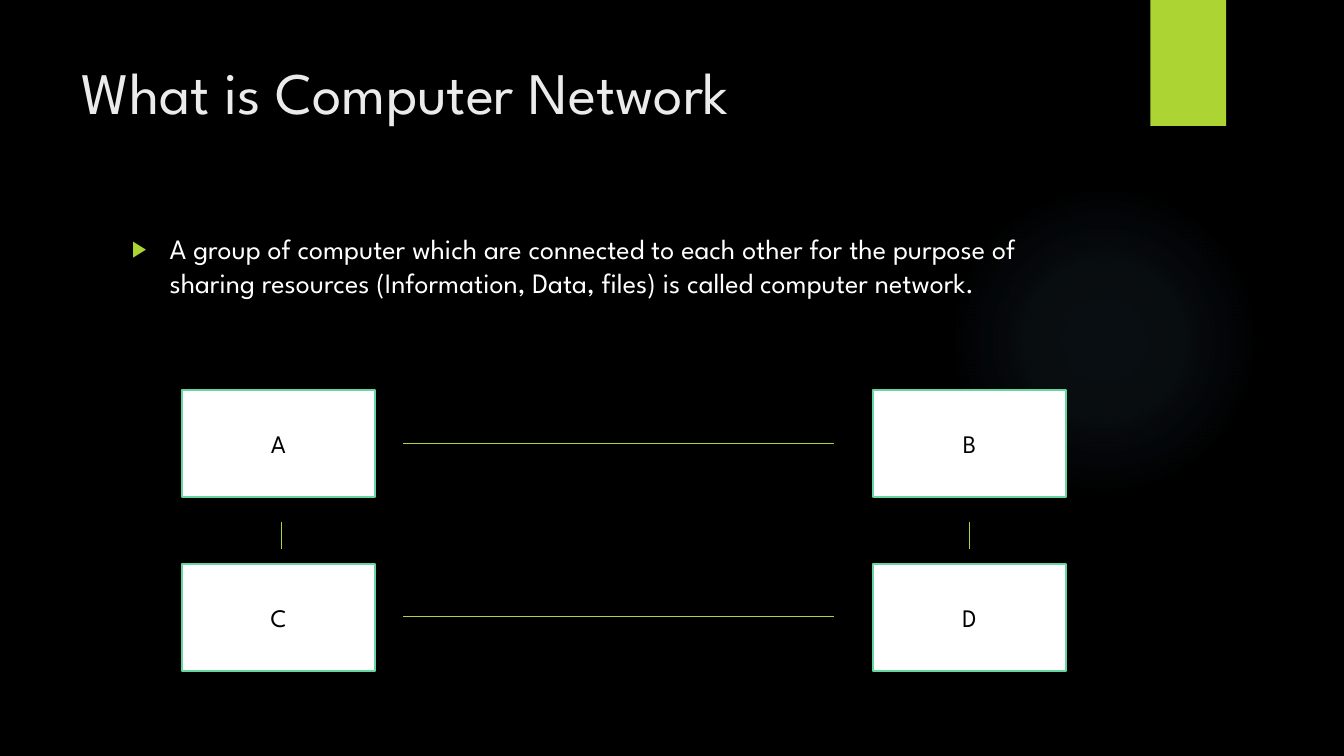
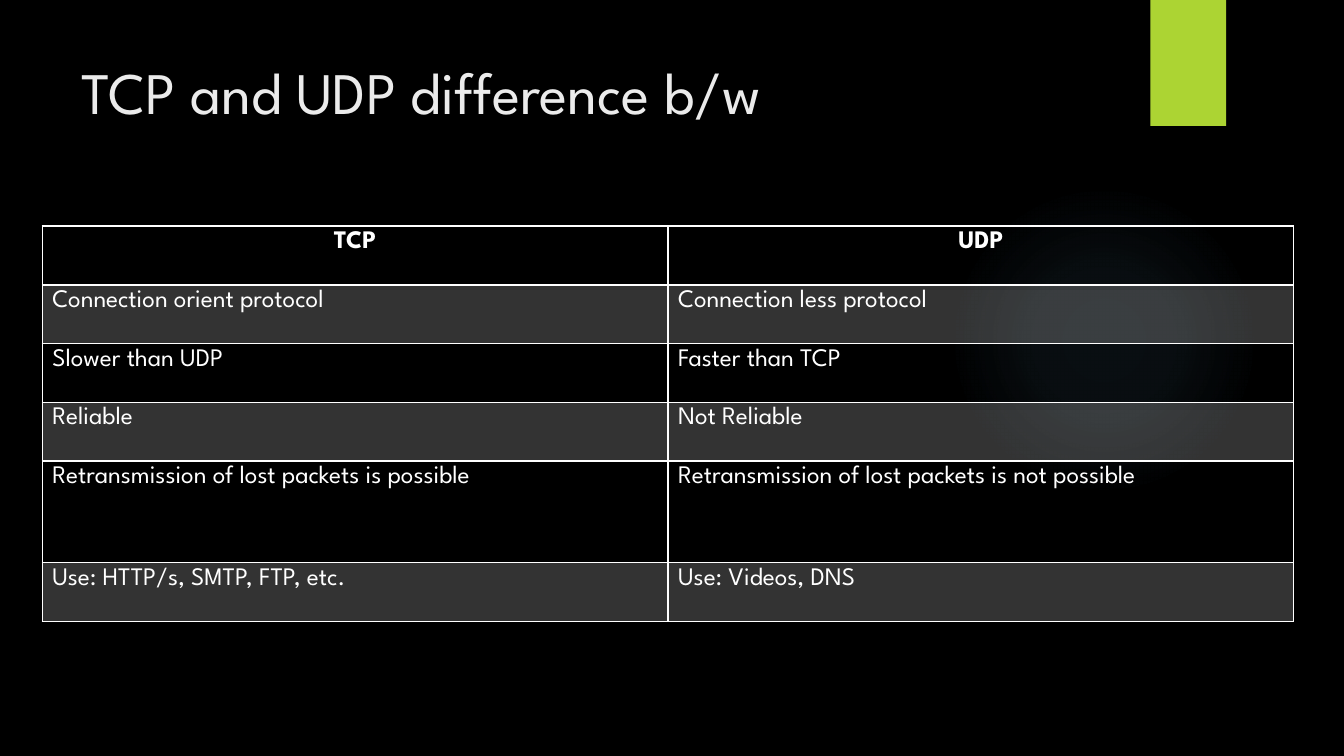
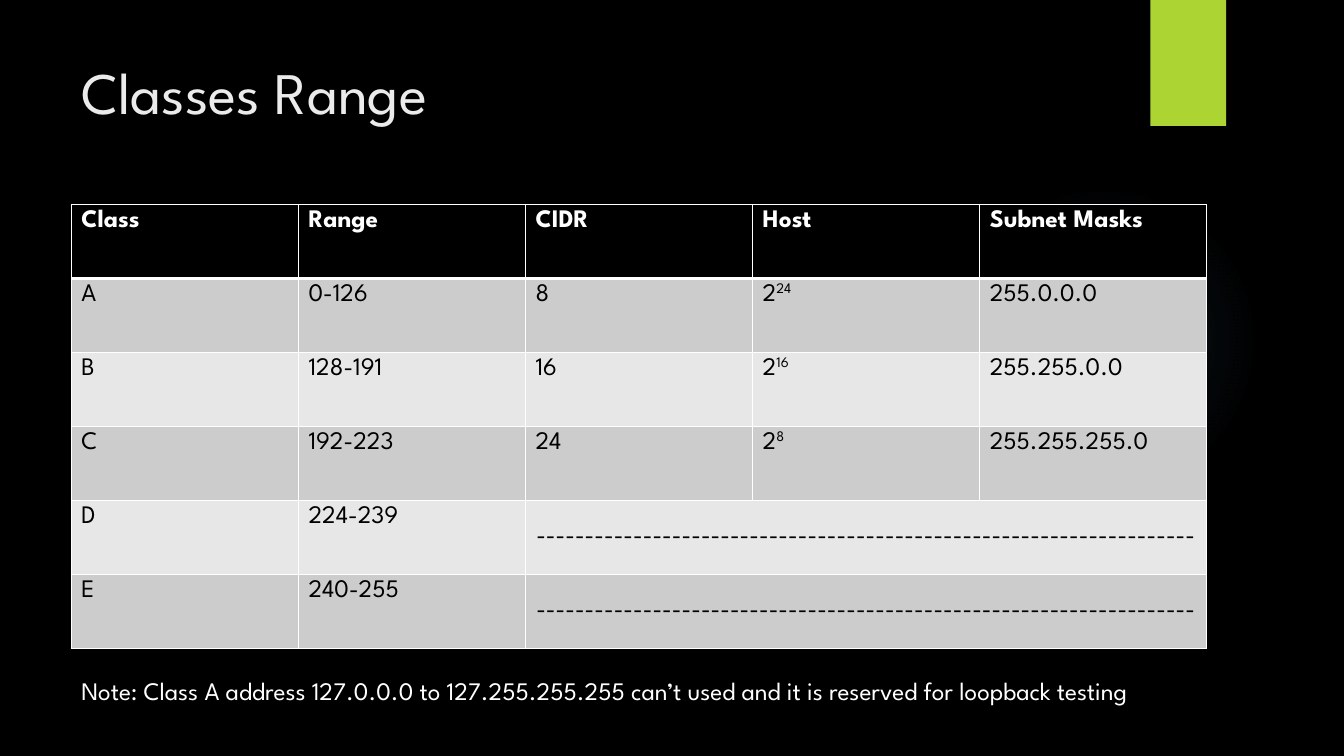
"""Build three slides on computer networks, TCP and UDP, and address classes."""
from pptx import Presentation
from pptx.dml.color import RGBColor
from pptx.enum.shapes import MSO_CONNECTOR, MSO_SHAPE
from pptx.enum.text import MSO_ANCHOR, MSO_AUTO_SIZE, PP_ALIGN
from pptx.oxml import parse_xml
from pptx.oxml.ns import nsdecls
from pptx.util import Pt

BLACK = RGBColor(0x00, 0x00, 0x00)
WHITE = RGBColor(0xFF, 0xFF, 0xFF)
PALE = RGBColor(0xEB, 0xEB, 0xEB)
LIME = RGBColor(0xAC, 0xD4, 0x33)
MINT = RGBColor(0x65, 0xD6, 0xA0)
GLOW = RGBColor(0x7A, 0xC4, 0xF0)
DARK = RGBColor(0xCC, 0xCC, 0xCC)
LIGHT = RGBColor(0xE7, 0xE7, 0xE7)
FONT = "League Spartan"
NS = nsdecls("a")


def write(frame, text, size, color, bold=False, align=PP_ALIGN.LEFT):
    """Write one paragraph; a caret marks the start of a superscript."""
    para = frame.paragraphs[0]
    para.alignment = align
    for num, part in enumerate(text.split("^")):
        run = para.add_run()
        run.text = part
        run.font.name = FONT
        run.font.size = Pt(size)
        run.font.bold = bold
        run.font.color.rgb = color
        if num:
            run.font._element.set("baseline", "30000")
    return para


def grid(slide, rows, left, top, width, heights, heavy, ink, fills, align):
    """Add a table with white borders and a heavy rule below its head."""
    cols = len(rows[0])
    frame = slide.shapes.add_table(
        len(rows), cols, Pt(left), Pt(top), Pt(width * cols), Pt(sum(heights)))
    table = frame.table
    for col in table.columns:
        col.width = Pt(width)
    for num, (texts, height) in enumerate(zip(rows, heights)):
        table.rows[num].height = Pt(height)
        head = num == 0
        color, alpha = fills[0] if head else fills[1 + (num - 1) % 2]
        edges = {"L": 1, "R": 1, "T": heavy if num == 1 else 1, "B": heavy if head else 1}
        for pos in range(cols):
            cell = table.cell(num, pos)
            if color is None:
                cell.fill.background()
            else:
                cell.fill.solid()
                cell.fill.fore_color.rgb = color
            props = cell._tc.get_or_add_tcPr()
            if alpha < 100:
                props[0][0].append(parse_xml(f'<a:alpha {NS} val="{alpha * 1000}"/>'))
            for place, (side, weight) in enumerate(edges.items()):
                props.insert(place, parse_xml(
                    f'<a:ln{side} {NS} w="{Pt(weight)}"><a:solidFill>'
                    f'<a:srgbClr val="{WHITE}"/></a:solidFill></a:ln{side}>'))
            if pos < len(texts):
                write(cell.text_frame, texts[pos], 18, WHITE if head else ink,
                      head, align if head else PP_ALIGN.LEFT)
    return table


deck = Presentation()
deck.slide_width, deck.slide_height = Pt(960), Pt(540)
master = deck.slide_master
master.background.fill.solid()
master.background.fill.fore_color.rgb = BLACK

pages = []
for layout, title in ((1, "What is Computer Network"),
                      (5, "TCP and UDP difference b/w"),
                      (5, "Classes Range")):
    page = deck.slides.add_slide(deck.slide_layouts[layout])
    head = page.shapes.title
    head.left, head.top, head.width, head.height = Pt(51), Pt(36), Pt(741), Pt(110)
    head.text_frame.auto_size = MSO_AUTO_SIZE.NONE
    head.text_frame.vertical_anchor = MSO_ANCHOR.TOP
    write(head.text_frame, title, 42, PALE)
    pages.append(page)
net, proto, ranges = pages

band = net.shapes.add_shape(MSO_SHAPE.RECTANGLE, Pt(821.8), Pt(0), Pt(54), Pt(90))
band.fill.solid()
band.fill.fore_color.rgb = LIME
halo = net.shapes.add_shape(MSO_SHAPE.OVAL, Pt(677.5), Pt(131.8), Pt(221.8), Pt(221.8))
stops = "".join(
    f'<a:gs pos="{spot * 1000}"><a:srgbClr val="{GLOW}">'
    f'<a:alpha val="{alpha * 1000}"/></a:srgbClr></a:gs>'
    for spot, alpha in ((0, 7), (36, 6), (69, 0)))
halo.element.spPr.insert(2, parse_xml(
    f'<a:gradFill {NS}><a:gsLst>{stops}</a:gsLst><a:path path="circle">'
    '<a:fillToRect l="50000" t="50000" r="50000" b="50000"/></a:path></a:gradFill>'))
for key, shape in enumerate((band, halo), 20):
    shape.line.fill.background()
    shape.shadow.inherit = False
    shape.element.nvSpPr.cNvPr.set("id", str(key))
    master.shapes.element.insert(2, shape.element)

body = net.placeholders[1]
body.left, body.top, body.width, body.height = Pt(87), Pt(162), Pt(704), Pt(330.5)
body.text_frame.auto_size = MSO_AUTO_SIZE.NONE
para = write(
    body.text_frame,
    "A group of computer which are connected to each other for the purpose of "
    "sharing resources (Information, Data, files) is called computer network.",
    20, WHITE)
para.space_before = Pt(10)
props = para._p.get_or_add_pPr()
props.set("marL", str(Pt(27)))
props.set("indent", str(-Pt(27)))
for mark in (f'<a:buClr {NS}><a:srgbClr val="{LIME}"/></a:buClr>',
             f'<a:buSzPct {NS} val="80000"/>',
             f'<a:buFont {NS} typeface="Arial"/>',
             f'<a:buChar {NS} char="▶"/>'):
    props.append(parse_xml(mark))

for num, name in enumerate("ABCD"):
    row, col = divmod(num, 2)
    node = net.shapes.add_shape(
        MSO_SHAPE.RECTANGLE, Pt(129.8 + 493.6 * col), Pt(278.6 + 124.4 * row),
        Pt(138.2), Pt(76.4))
    node.shadow.inherit = False
    node.fill.solid()
    node.fill.fore_color.rgb = WHITE
    node.line.color.rgb = MINT
    node.line.width = Pt(1.5)
    node.text_frame.vertical_anchor = MSO_ANCHOR.MIDDLE
    write(node.text_frame, name, 18, BLACK, align=PP_ALIGN.CENTER)

for ends in ((288, 316.8, 595.4, 316.8), (288, 440.6, 595.4, 440.6),
             (201, 373, 201, 392.4), (692.6, 373, 692.6, 392.4)):
    link = net.shapes.add_connector(MSO_CONNECTOR.STRAIGHT, *map(Pt, ends))
    link.line.color.rgb = LIME
    link.line.width = Pt(0.75)
    link.element.spPr.append(parse_xml(f"<a:effectLst {NS}/>"))

grid(proto, (
    ("TCP", "UDP"),
    ("Connection orient protocol", "Connection less protocol"),
    ("Slower than UDP", "Faster than TCP"),
    ("Reliable", "Not Reliable"),
    ("Retransmission of lost packets is possible",
     "Retransmission of lost packets is not possible"),
    ("Use: HTTP/s, SMTP, FTP, etc.", "Use: Videos, DNS"),
), 30.2, 161.4, 447, (42, 42, 42, 42, 72.6, 42), 2, WHITE,
    ((None, 100), (WHITE, 20), (None, 100)), PP_ALIGN.CENTER)

dash = "-" * 68
table = grid(ranges, (
    ("Class", "Range", "CIDR", "Host", "Subnet Masks"),
    ("A", "0-126", "8", "2^24", "255.0.0.0"),
    ("B", "128-191", "16", "2^16", "255.255.0.0"),
    ("C", "192-223", "24", "2^8", "255.255.255.0"),
    ("D", "224-239", dash),
    ("E", "240-255", dash),
), 51, 146, 162.2, [52.9] * 6, 3, BLACK,
    ((BLACK, 100), (DARK, 100), (LIGHT, 100)), PP_ALIGN.LEFT)
for row in (4, 5):
    cell = table.cell(row, 2)
    cell.merge(table.cell(row, 4))
    cell.vertical_anchor = MSO_ANCHOR.MIDDLE
    cell.text_frame.paragraphs[0].alignment = PP_ALIGN.CENTER

note = ranges.shapes.add_textbox(Pt(51), Pt(479), Pt(811), Pt(51))
note.text_frame.word_wrap = True
write(note.text_frame,
      "Note: Class A address 127.0.0.0 to 127.255.255.255 can’t used "
      "and it is reserved for loopback testing", 18, WHITE)

deck.save("out.pptx")
